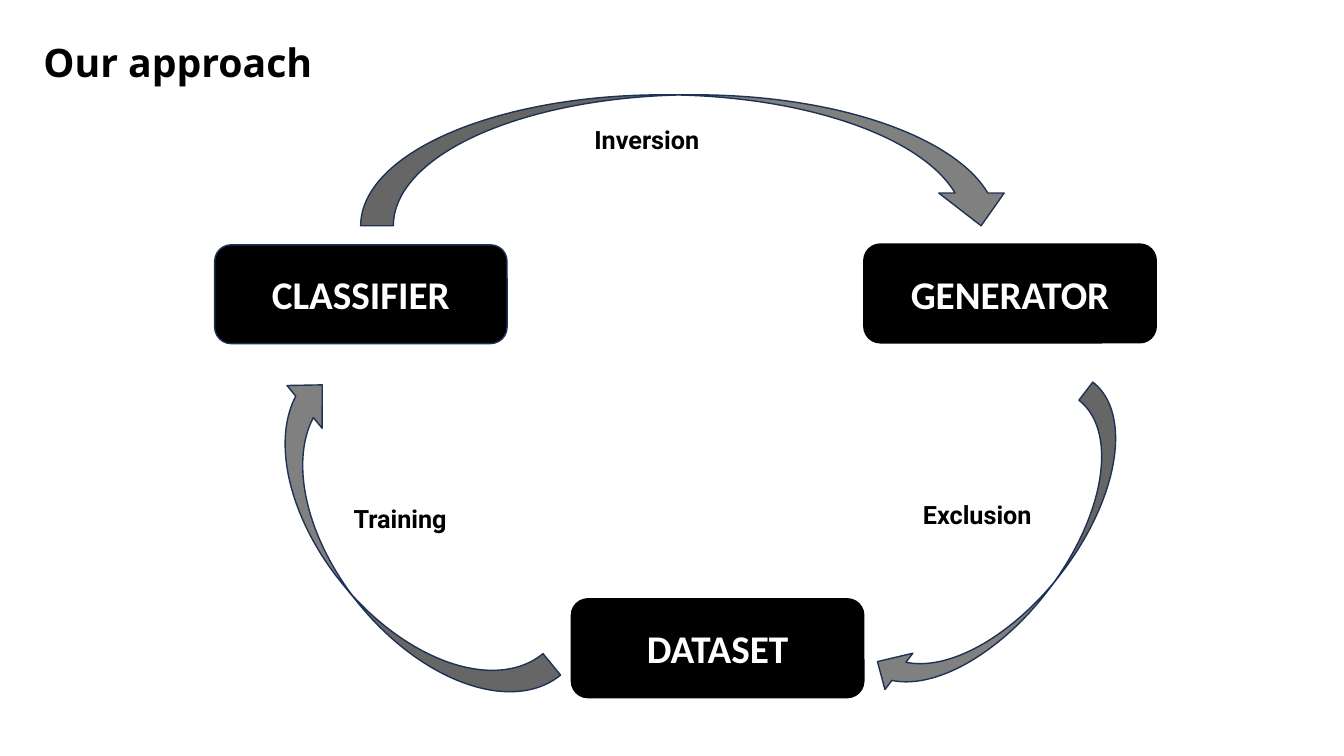
from pptx import Presentation
from pptx import util as u
from pptx.dml.color import RGBColor
from pptx.enum import shapes, text

BLACK = RGBColor(0x00, 0x00, 0x00)
WHITE = RGBColor(0xFF, 0xFF, 0xFF)
GRAY = RGBColor(0x80, 0x80, 0x80)
NAVY = RGBColor(0x1E, 0x32, 0x56)

SHAPE = shapes.MSO_SHAPE
STAGE_WIDTH, STAGE_HEIGHT = 7.37, 2.49
LABEL_HEIGHT = 1.02

# Lengths are in centimetres.
STAGES = [
    ("CLASSIFIER", 5.41, 6.17, NAVY),
    ("GENERATOR", 21.77, 6.15, BLACK),
    ("DATASET", 14.4, 15.09, BLACK),
]
ARROWS = [
    (SHAPE.CURVED_DOWN_ARROW, (9.09, 2.39, 16.46, 3.3), 0),
    (SHAPE.CURVED_LEFT_ARROW, (24.41, 9.35, 2.31, 9.47), 37.6),
    (SHAPE.CURVED_LEFT_ARROW, (8.43, 8.89, 2.79, 10.16), 140.6),
]
LABELS = [
    ("Inversion", 14.73, 3.0, 4.19),
    ("Exclusion", 23.01, 12.47, 4.27),
    ("Training", 8.66, 12.57, 4.11),
]


def in_cm(lengths):
    return [u.Cm(length) for length in lengths]


def write(frame, words, font, color, align):
    """Put one formatted paragraph into a text frame."""
    frame.word_wrap = True
    para = frame.paragraphs[0]
    para.alignment = align
    span = para.add_run()
    span.text = words
    span.font.color.rgb = color
    for name, value in font.items():
        setattr(span.font, name, value)


def add_outlined(page, kind, place, fill, line):
    """Add a flat preset shape with a thin outline."""
    shape = page.shapes.add_shape(kind, *in_cm(place))
    shape.shadow.inherit = False
    shape.fill.solid()
    shape.fill.fore_color.rgb = fill
    shape.line.color.rgb = line
    shape.line.width = u.Pt(1)
    return shape


def add_title(page, words):
    title = page.shapes.title
    place = in_cm((0.84, 0.84, 16.94, 1.45))
    for name, value in zip(("left", "top", "width", "height"), place):
        setattr(title, name, value)
    frame = title.text_frame
    frame.auto_size = text.MSO_AUTO_SIZE.NONE
    frame.vertical_anchor = text.MSO_ANCHOR.TOP
    font = {"name": "Open Sans", "size": u.Pt(28), "bold": True}
    write(frame, words, font, BLACK, text.PP_ALIGN.LEFT)


def add_stage(page, words, left, top, line):
    place = (left, top, STAGE_WIDTH, STAGE_HEIGHT)
    box = add_outlined(page, SHAPE.ROUNDED_RECTANGLE, place, BLACK, line)
    box.text_frame.vertical_anchor = text.MSO_ANCHOR.MIDDLE
    font = {"name": "Calibri", "size": u.Pt(28), "bold": True}
    write(box.text_frame, words, font, WHITE, text.PP_ALIGN.CENTER)


def add_arrow(page, kind, place, angle):
    arrow = add_outlined(page, kind, place, GRAY, NAVY)
    arrow.rotation = angle


def add_label(page, words, left, top, width):
    box = page.shapes.add_textbox(*in_cm((left, top, width, LABEL_HEIGHT)))
    font = {"name": "Roboto", "size": u.Pt(18), "bold": True}
    write(box.text_frame, words, font, BLACK, text.PP_ALIGN.LEFT)


def main():
    deck = Presentation()
    deck.slide_width, deck.slide_height = in_cm((33.87, 19.05))
    page = deck.slides.add_slide(deck.slide_layouts.get_by_name("Title Only"))
    add_title(page, "Our approach")
    for stage in STAGES:
        add_stage(page, *stage)
    for arrow in ARROWS:
        add_arrow(page, *arrow)
    for label in LABELS:
        add_label(page, *label)
    deck.save("out.pptx")


if __name__ == "__main__":
    main()
